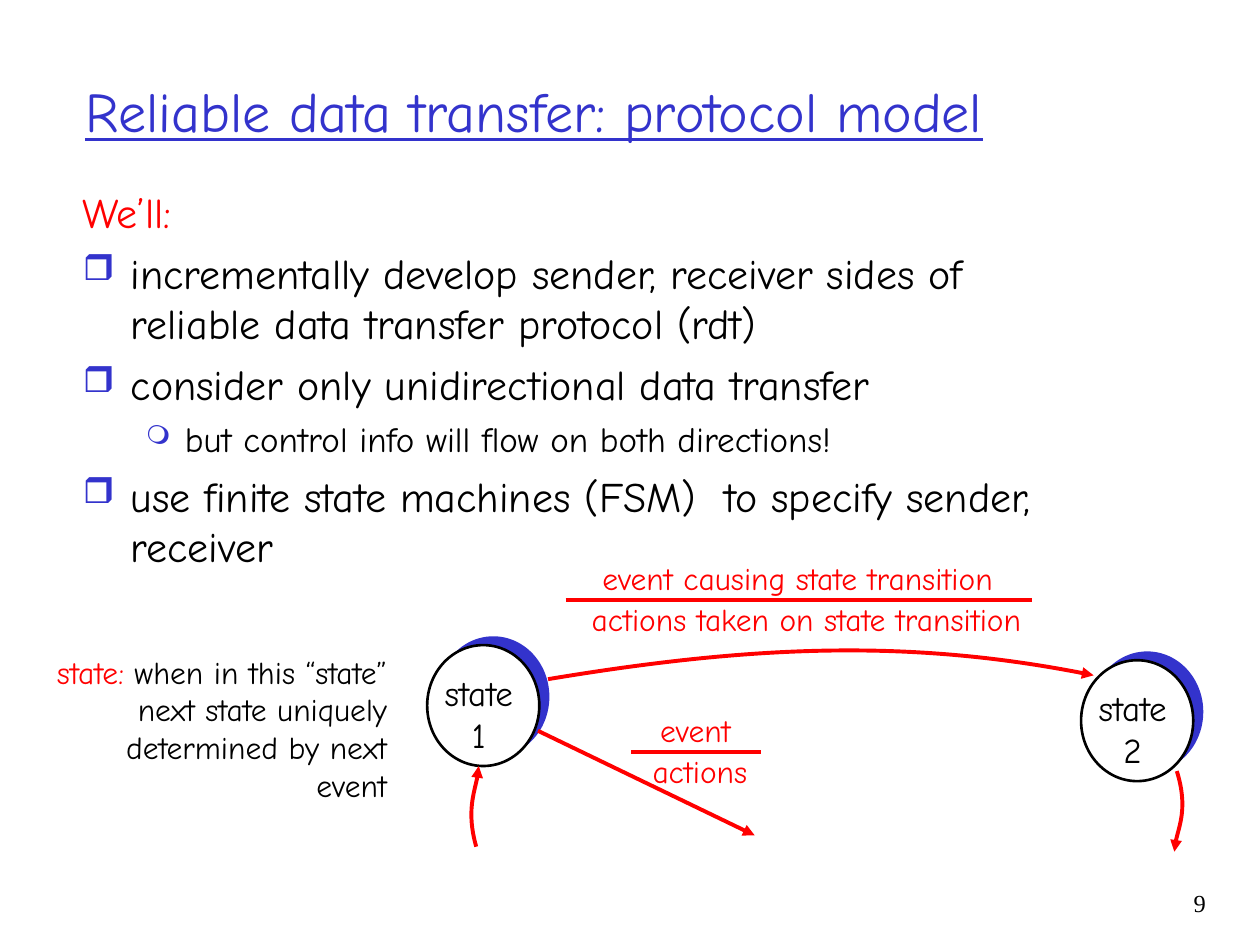
"""Build the slide that introduces the reliable data transfer protocol model."""
from dataclasses import dataclass

from lxml.etree import SubElement
from pptx import Presentation
from pptx.dml.color import RGBColor as RGB
from pptx.enum.shapes import MSO_CONNECTOR as Connector, MSO_SHAPE as Shape
from pptx.enum.text import MSO_ANCHOR as Anchor, MSO_AUTO_SIZE as AutoSize, PP_ALIGN as Align
from pptx.oxml.ns import qn
from pptx.util import Inches, Pt


@dataclass(frozen=True)
class Theme:
    blue: str = "3333CC"
    red: str = "FF0000"
    black: str = "000000"
    white: str = "FFFFFF"
    font: str = "Comic Neue"
    number_font: str = "Times New Roman"
    title: float = 32
    body: float = 24
    detail: float = 20
    label: float = 18
    number: float = 14
    arrow: float = 2.25
    outline: float = 1.5


def apply(target, formats):
    for name, value in formats.items():
        setattr(target, name, value)


class SlideBuilder:
    def __init__(self, slide, theme):
        self.slide = slide
        self.theme = theme

    def group(self):
        return self.slide.shapes.add_group_shape().shapes

    def text_box(self, box, shapes=None, **formats):
        shapes = self.slide.shapes if shapes is None else shapes
        frame = shapes.add_textbox(*map(Inches, box)).text_frame
        apply(frame, {"word_wrap": True, "auto_size": AutoSize.NONE, **formats})
        return frame

    def paragraph(self, frame, runs, size, font=None, indent=None, bullet=None, **formats):
        first = frame.paragraphs[0]
        paragraph = frame.add_paragraph() if first.runs else first
        apply(paragraph, formats)
        properties = paragraph._p.get_or_add_pPr()
        if indent:
            margin, hanging = indent
            properties.set("marL", str(Inches(margin)))
            properties.set("indent", str(-Inches(hanging)))
        if bullet:
            character, percent = bullet
            color = SubElement(properties, qn("a:buClr"))
            SubElement(color, qn("a:srgbClr"), val=self.theme.blue)
            SubElement(properties, qn("a:buSzPct"), val=str(percent * 1000))
            SubElement(properties, qn("a:buChar"), char=character)
        for text, color, *underline in runs:
            run = paragraph.add_run()
            run.text = text
            apply(run.font, {"name": font or self.theme.font, "size": Pt(size),
                             "underline": bool(underline)})
            run.font.color.rgb = RGB.from_string(color)

    def label(self, lines, box, size, color, shapes=None):
        frame = self.text_box(box, shapes, word_wrap=False,
                              auto_size=AutoSize.SHAPE_TO_FIT_TEXT)
        for line in lines:
            self.paragraph(frame, [(line, color)], size, alignment=Align.CENTER)

    def ellipse(self, shapes, left, top, fill, outline=None):
        shape = shapes.add_shape(Shape.OVAL, *map(Inches, (left, top, 0.89, 0.96)))
        shape.shadow.inherit = False
        shape.fill.solid()
        shape.fill.fore_color.rgb = RGB.from_string(fill)
        if outline:
            shape.line.color.rgb = RGB.from_string(outline)
            shape.line.width = Pt(self.theme.outline)
        else:
            shape.line.fill.background()

    def state(self, number, left, top):
        shapes = self.group()
        self.ellipse(shapes, left + 0.08, top - 0.07, self.theme.blue)
        self.ellipse(shapes, left, top, self.theme.white, self.theme.black)
        self.label(["state", number], (left + 0.03, top + 0.16, 0.76, 0.77),
                   self.theme.detail, self.theme.black, shapes)

    def stroke(self, line, arrow):
        line.color.rgb = RGB.from_string(self.theme.red)
        line.width = Pt(self.theme.arrow)
        if arrow:
            SubElement(line._get_or_add_ln(), qn("a:tailEnd"), type="triangle")

    def line(self, start, end, arrow=False, shapes=None):
        shapes = self.slide.shapes if shapes is None else shapes
        connector = shapes.add_connector(Connector.STRAIGHT, *map(Inches, start + end))
        self.stroke(connector.line, arrow)
        SubElement(connector._element.spPr, qn("a:effectLst"))

    def curve(self, *points):
        start, *others = [tuple(map(Inches, point)) for point in points]
        builder = self.slide.shapes.build_freeform(*start)
        shape = builder.add_line_segments(others, close=False).convert_to_shape()
        shape.shadow.inherit = False
        shape.fill.background()
        self.stroke(shape.line, True)
        outline = next(shape._element.iter(qn("a:path")))
        bezier = SubElement(outline, qn("a:cubicBezTo"))
        for segment in outline.findall(qn("a:lnTo")):
            bezier.append(segment[0])
            outline.remove(segment)


def add_text(builder):
    theme = builder.theme
    title = builder.text_box((0.58, 0.25, 8.5, 1.25), vertical_anchor=Anchor.MIDDLE)
    builder.paragraph(title, [("Reliable data transfer: protocol model", theme.blue, True)],
                      theme.title)
    body = builder.text_box((0.56, 1.43, 7.94, 3.67))
    main = {"size": theme.body, "indent": (0.38, 0.38), "space_before": Pt(6)}
    item = {**main, "bullet": ("❒", 85)}
    detail = {"size": theme.detail, "indent": (0.81, 0.31), "space_before": Pt(5),
              "bullet": ("❍", 75), "level": 1}
    for text, color, formats in (
        ("We’ll:", theme.red, main),
        ("incrementally develop sender, receiver sides of reliable data transfer protocol (rdt)",
         theme.black, item),
        ("consider only unidirectional data transfer", theme.black, item),
        ("but control info will flow on both directions!", theme.black, detail),
        ("use finite state machines (FSM)  to specify sender, receiver", theme.black, item),
    ):
        builder.paragraph(body, [(text, color)], **formats)


def add_diagram(builder):
    theme = builder.theme
    builder.state("1", 3.39, 5.12)
    builder.curve((4.35, 5.39), (5.97, 5.12), (7.26, 5.07), (8.68, 5.36))
    builder.state("2", 8.58, 5.24)
    for text, box in (
        ("event causing state transition", (4.67, 4.39, 3.32, 0.4)),
        ("actions taken on state transition", (4.58, 4.71, 3.64, 0.4)),
    ):
        builder.label([text], box, theme.label, theme.red)
    builder.line((4.49, 4.76), (8.19, 4.76))

    note = builder.text_box((0.14, 5.13, 3.03, 1.35))
    builder.paragraph(
        note,
        [("state:", theme.red),
         (" when in this “state” next state uniquely determined by next event", theme.black)],
        theme.label, indent=(0.38, 0.38), alignment=Align.RIGHT, space_before=Pt(4.5))

    builder.curve((3.78, 6.72), (3.7, 6.44), (3.8, 6.18), (3.8, 6.08))
    builder.curve((9.34, 6.12), (9.43, 6.41), (9.32, 6.66), (9.32, 6.76))
    builder.line((4.27, 5.8), (5.99, 6.63), arrow=True)

    shapes = builder.group()
    for text, box in (("event", (5.14, 5.59, 0.76, 0.4)), ("actions", (5.08, 5.92, 0.95, 0.4))):
        builder.label([text], box, theme.label, theme.red, shapes)
    builder.line((5.01, 5.97), (6.04, 5.97), shapes=shapes)


def main():
    presentation = Presentation()
    apply(presentation, {"slide_width": Inches(10), "slide_height": Inches(7.5)})
    slide = presentation.slides.add_slide(presentation.slide_layouts[6])
    builder = SlideBuilder(slide, Theme())
    add_text(builder)
    add_diagram(builder)
    number = builder.text_box((8.93, 7, 0.74, 0.5))
    builder.paragraph(number, [("9", builder.theme.black)], builder.theme.number,
                      font=builder.theme.number_font, alignment=Align.RIGHT)
    presentation.save("out.pptx")


if __name__ == "__main__":
    main()
